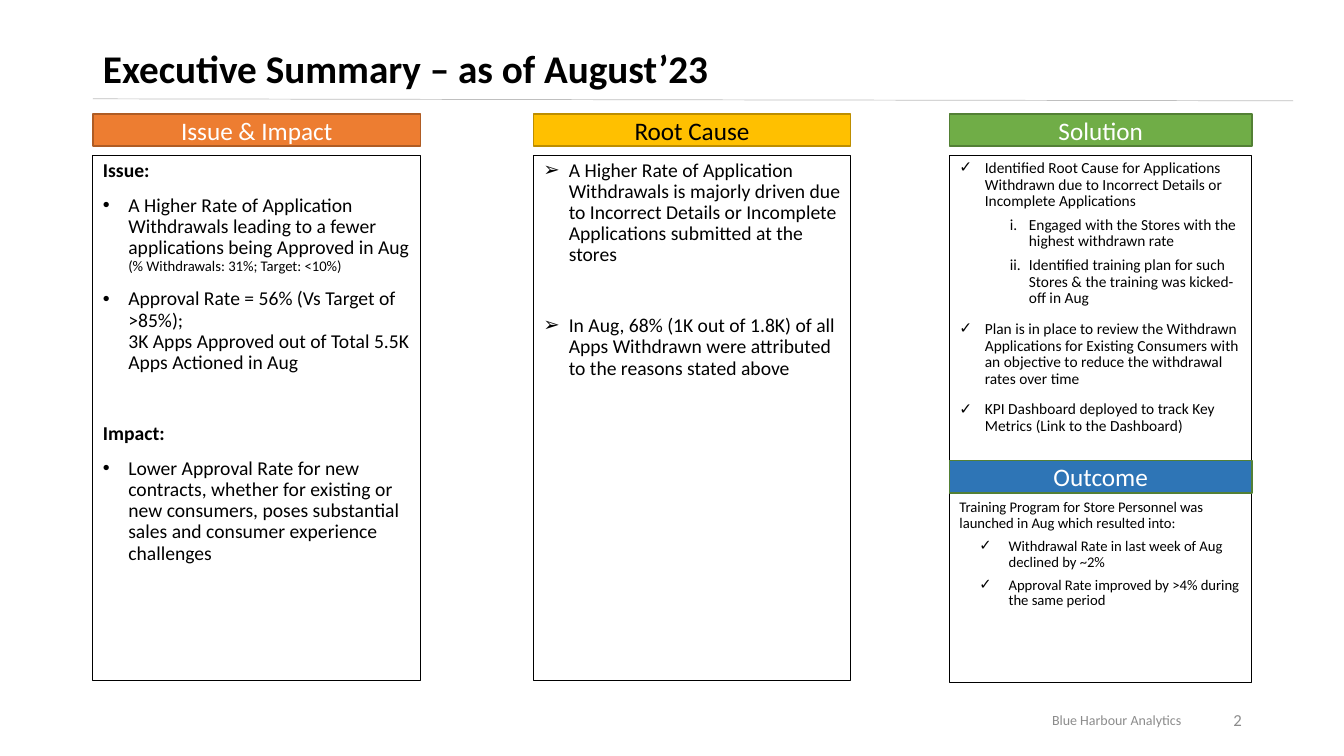
from dataclasses import dataclass

import pptx
import pptx.dml.color
import pptx.enum.shapes
import pptx.enum.text
import pptx.oxml
import pptx.oxml.ns
import pptx.util
from pptx.util import Cm

ALIGN = pptx.enum.text.PP_ALIGN
ANCHOR = pptx.enum.text.MSO_ANCHOR
RECTANGLE = pptx.enum.shapes.MSO_SHAPE.RECTANGLE
STRAIGHT = pptx.enum.shapes.MSO_CONNECTOR.STRAIGHT


class Theme:
    font = "Calibri"
    black, white, grey, rule = "000000", "FFFFFF", "8C8C8C", "BFBFBF"
    orange, orange_edge = "ED7D31", "AF5C24"
    yellow, yellow_edge = "FFC000", "BD8E00"
    green, green_edge = "70AD47", "538035"
    blue = "2E75B6"
    title, header, body, page = 28, 18, 14, 12
    solution, note, footer = 11, 10.5, 10


@dataclass
class Box:
    left: float
    top: float
    width: float
    height: float

    def lengths(self):
        return [Cm(value) for value in (self.left, self.top, self.width, self.height)]

    def place(self, shape):
        shape.left, shape.top, shape.width, shape.height = self.lengths()


@dataclass
class Item:
    text: str
    bullet: str = ""
    size: float = Theme.body
    bold: bool = False
    before: float = 10
    margin: float = 0.64
    hanging: float = 0.64
    level: int = 0
    last_size: float = 0  # size of the text after the line break, if it differs


def rgb(code):
    return pptx.dml.color.RGBColor.from_string(code)


def add_element(parent, tag, **attributes):
    element = pptx.oxml.parse_xml(f"<a:{tag} {pptx.oxml.ns.nsdecls('a')}/>")
    for name, value in attributes.items():
        element.set(name, str(value))
    parent.append(element)
    return element


def format_run(run, size, color, bold=False):
    run.font.name = Theme.font
    run.font.size = pptx.util.Pt(size)
    run.font.bold = bold
    run.font.color.rgb = rgb(color)


def write_line(shape, text, size, color, align, bold=False):
    frame = shape.text_frame
    frame.word_wrap = True
    frame.auto_size = pptx.enum.text.MSO_AUTO_SIZE.NONE
    frame.vertical_anchor = ANCHOR.MIDDLE
    frame.text = text
    frame.paragraphs[0].alignment = align
    format_run(frame.paragraphs[0].runs[0], size, color, bold)


def set_bullet(paragraph, item):
    properties = paragraph._p.get_or_add_pPr()
    if not item.bullet:
        properties.set("marL", "0")
        properties.set("indent", "0")
        add_element(properties, "buNone")
        return
    properties.set("marL", str(Cm(item.margin)))
    properties.set("indent", str(-Cm(item.hanging)))
    add_element(properties, "buFont", typeface="Arial")
    if item.bullet == "i.":
        add_element(properties, "buAutoNum", type="romanLcPeriod")
    else:
        add_element(properties, "buChar", char=item.bullet)


def write_items(shape, items):
    frame = shape.text_frame
    frame.word_wrap = True
    frame.auto_size = pptx.enum.text.MSO_AUTO_SIZE.NONE
    frame.vertical_anchor = ANCHOR.TOP
    for index, item in enumerate(items):
        paragraph = frame.add_paragraph() if index else frame.paragraphs[0]
        paragraph.text = item.text
        paragraph.level = item.level
        set_bullet(paragraph, item)
        paragraph.alignment = ALIGN.LEFT
        paragraph.line_spacing = 0.9
        paragraph.space_before = pptx.util.Pt(item.before if index else 0)
        for run in paragraph.runs:
            format_run(run, item.size, Theme.black, item.bold)
        if item.last_size:
            paragraph.runs[-1].font.size = pptx.util.Pt(item.last_size)
        for line_break in paragraph._p.findall(pptx.oxml.ns.qn("a:br")):
            add_element(line_break, "rPr", sz=int(item.size * 100))


def add_title(slide, box):
    title = slide.shapes.title
    box.place(title)
    write_line(title, "Executive Summary – as of August’23", Theme.title, Theme.black,
               ALIGN.LEFT, bold=True)
    title.text_frame.paragraphs[0].line_spacing = 0.9
    rule_top = box.top + box.height - 0.05
    rule = slide.shapes.add_connector(STRAIGHT, Cm(box.left), Cm(rule_top),
                                      Cm(box.left + 30.25), Cm(rule_top + 0.05))
    rule.line.color.rgb = rgb(Theme.rule)
    rule.line.width = pptx.util.Pt(0.5)
    add_element(rule._element.spPr, "effectLst")


def add_header(slide, box, text, fill, edge, color=Theme.white):
    header = slide.shapes.add_shape(RECTANGLE, *box.lengths())
    header.shadow.inherit = False
    header.fill.solid()
    header.fill.fore_color.rgb = rgb(fill)
    header.line.color.rgb = rgb(edge)
    header.line.width = pptx.util.Pt(1)
    write_line(header, text, Theme.header, color, ALIGN.CENTER)


def add_column(slide, box, body, items, *header):
    """Fill a column: a coloured header above an outlined body."""
    Box(box.left, box.top + 1.04, box.width, box.height - 1.04).place(body)
    body.line.color.rgb = rgb(Theme.black)
    body.line.width = pptx.util.Pt(0.75)
    write_items(body, items)
    add_header(slide, Box(box.left, box.top, box.width, 0.81), *header)


def add_footer(slide, box):
    footer = slide.shapes.add_textbox(*Box(box.left, box.top, 11.43, box.height).lengths())
    write_line(footer, "Blue Harbour Analytics", Theme.footer, Theme.grey, ALIGN.RIGHT)
    number = slide.shapes.add_textbox(
        *Box(box.left + box.width - 7.62, box.top, 7.62, box.height).lengths())
    write_line(number, "2", Theme.page, Theme.grey, ALIGN.RIGHT)


def solution_step(text):
    return Item(text, "✓", Theme.solution)


def solution_detail(text):
    return Item(text, "i.", Theme.solution, before=5, margin=1.75, hanging=0.48, level=1)


def outcome_result(text):
    return Item(text, "✓", Theme.note, before=5, margin=1.24, hanging=0.74, level=1)


ISSUE_AND_IMPACT = [
    Item("Issue:", bold=True),
    Item("A Higher Rate of Application Withdrawals leading to a fewer applications being "
         "Approved in Aug\v(% Withdrawals: 31%; Target: <10%)", "•", last_size=Theme.note),
    Item("Approval Rate = 56% (Vs Target of >85%);\v"
         "3K Apps Approved out of Total 5.5K Apps Actioned in Aug", "•"),
    Item("Impact:", bold=True, before=35.4),
    Item("Lower Approval Rate for new contracts, whether for existing or new consumers, "
         "poses substantial sales and consumer experience challenges", "•"),
]
ROOT_CAUSE = [
    Item("A Higher Rate of Application Withdrawals is majorly driven due to Incorrect Details "
         "or Incomplete Applications submitted at the stores", "➢"),
    Item("In Aug, 68% (1K out of 1.8K) of all Apps Withdrawn were attributed to the reasons "
         "stated above", "➢", before=35.4),
]
SOLUTION_AND_OUTCOME = [
    solution_step("Identified Root Cause for Applications Withdrawn due to Incorrect Details "
                  "or Incomplete Applications"),
    solution_detail("Engaged with the Stores with the highest withdrawn rate"),
    solution_detail("Identified training plan for such Stores & the training was kicked-off in Aug"),
    solution_step("Plan is in place to review the Withdrawn Applications for Existing Consumers "
                  "with an objective to reduce the withdrawal rates over time"),
    solution_step("KPI Dashboard deployed to track Key Metrics (Link to the Dashboard)"),
    Item("Training Program for Store Personnel was launched in Aug which resulted into:",
         size=Theme.note, before=46.5),
    outcome_result("Withdrawal Rate in last week of Aug declined by ~2%"),
    outcome_result("Approval Rate improved by >4% during the same period"),
]


def main():
    presentation = pptx.Presentation()
    presentation.slide_width, presentation.slide_height = Cm(33.87), Cm(19.05)
    slide = presentation.slides.add_slide(presentation.slide_layouts.get_by_name("Two Content"))
    issue_body, cause_body = slide.placeholders[1], slide.placeholders[2]

    add_title(slide, Box(2.34, 1.02, 29.21, 1.52))
    add_column(slide, Box(2.34, 2.87, 8.26, 14.27), issue_body, ISSUE_AND_IMPACT,
               "Issue & Impact", Theme.orange, Theme.orange_edge)
    add_column(slide, Box(13.44, 2.87, 8, 14.27), cause_body, ROOT_CAUSE,
               "Root Cause", Theme.yellow, Theme.yellow_edge, Theme.black)
    solution = Box(23.93, 2.87, 7.62, 14.32)
    solution_body = slide.shapes.add_textbox(*solution.lengths())
    add_column(slide, solution, solution_body, SOLUTION_AND_OUTCOME,
               "Solution", Theme.green, Theme.green_edge)
    add_header(slide, Box(solution.left, solution.top + 8.74, solution.width, 0.81),
               "Outcome", Theme.blue, Theme.green_edge)
    add_footer(slide, Box(18.59, 17.64, 12.96, 1.02))
    presentation.save("out.pptx")


if __name__ == "__main__":
    main()
